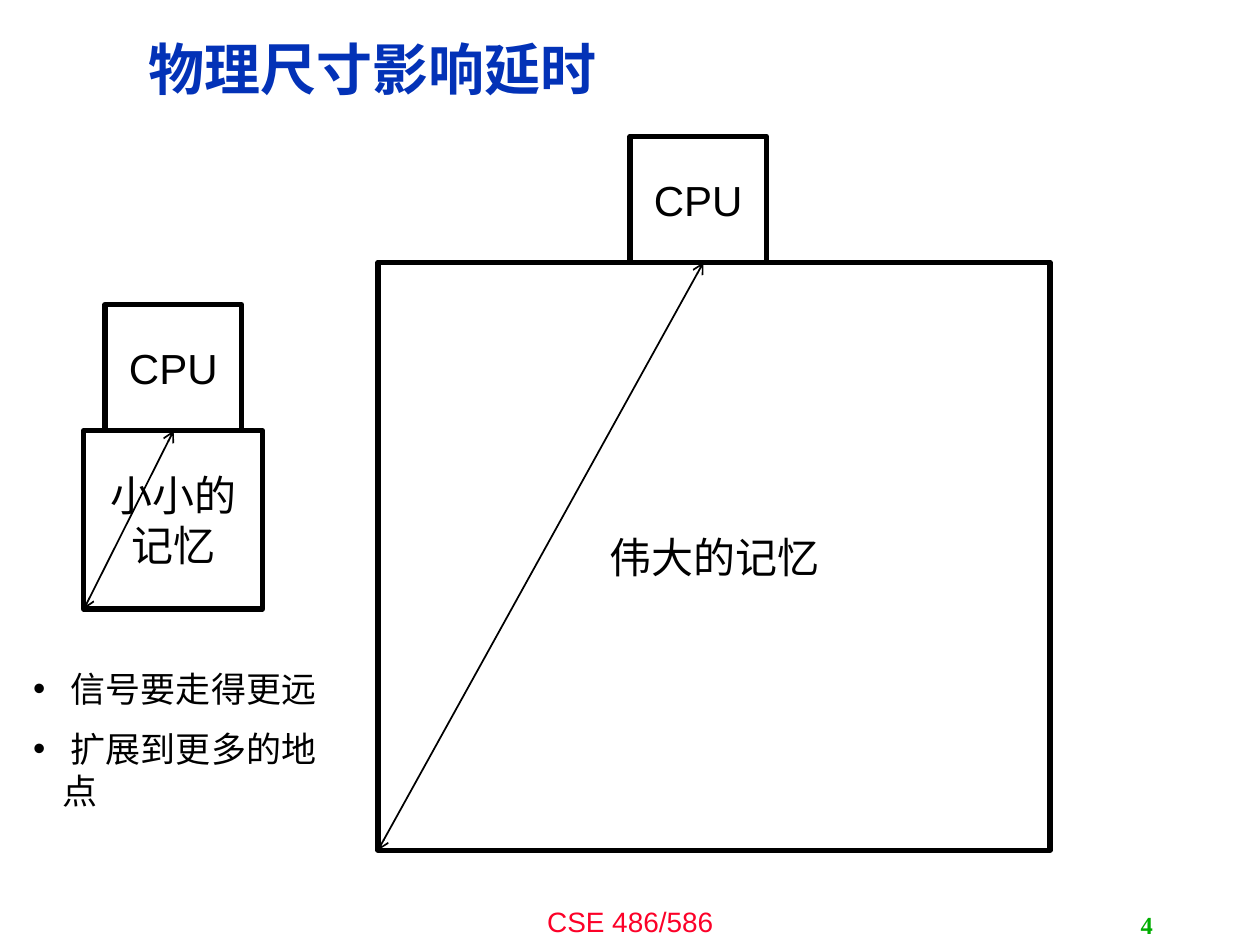
from dataclasses import dataclass

from lxml.etree import SubElement
from pptx import Presentation
from pptx.dml.color import RGBColor as Rgb
from pptx.enum.shapes import MSO_CONNECTOR as Connector, MSO_SHAPE as Shape
from pptx.enum.text import MSO_ANCHOR as Anchor, PP_ALIGN as Align
from pptx.oxml.ns import qn
from pptx.util import Cm, Pt


@dataclass(frozen=True)
class Theme:
    black: Rgb = Rgb(0x00, 0x00, 0x00)
    white: Rgb = Rgb(0xFF, 0xFF, 0xFF)
    title: Rgb = Rgb(0x03, 0x32, 0xB7)
    footer: Rgb = Rgb(0xFC, 0x01, 0x28)
    number: Rgb = Rgb(0x00, 0xAE, 0x00)
    sans: str = "Arial"
    serif: str = "Times New Roman"
    title_size: int = 32
    label_size: int = 24
    body_size: int = 20
    footer_size: int = 16
    number_size: int = 14
    outline: int = 3
    arrow: int = 1


THEME = Theme()
CPU_WIDTH, CPU_HEIGHT = 2.75, 2.54


def write_text(shape, lines, size, color=THEME.black, font=THEME.sans, bold=False,
               align=Align.LEFT, anchor=Anchor.TOP, gap=0, line_spacing=None, bullet=None):
    """Fill a shape with one paragraph per line."""
    frame = shape.text_frame
    frame.word_wrap = True
    frame.vertical_anchor = anchor
    for index, line in enumerate(lines):
        para = frame.paragraphs[0] if index == 0 else frame.add_paragraph()
        para.alignment = align
        para.space_before = Pt(gap if index else 0)
        if line_spacing:
            para.line_spacing = line_spacing
        if bullet:
            add_bullet(para, bullet)
        span = para.add_run()
        span.text = line
        span.font.name = font
        span.font.size = Pt(size)
        span.font.bold = bold
        span.font.color.rgb = color


def add_bullet(para, mark, indent=0.6):
    props = para._p.get_or_add_pPr()
    props.set("marL", str(Cm(indent)))
    props.set("indent", str(-Cm(indent)))
    SubElement(props, qn("a:buFont"), typeface=THEME.sans)
    SubElement(props, qn("a:buChar"), char=mark)


def add_text(page, place, lines, **style):
    box = page.shapes.add_textbox(*map(Cm, place))
    write_text(box, lines, **style)


def add_block(page, place, label):
    block = page.shapes.add_shape(Shape.RECTANGLE, *map(Cm, place))
    block.shadow.inherit = False
    block.fill.solid()
    block.fill.fore_color.rgb = THEME.white
    block.line.color.rgb = THEME.black
    block.line.width = Pt(THEME.outline)
    write_text(block, [label], size=THEME.label_size,
               align=Align.CENTER, anchor=Anchor.MIDDLE)


def add_double_arrow(page, start, end):
    arrow = page.shapes.add_connector(Connector.STRAIGHT, *map(Cm, start + end))
    arrow.line.color.rgb = THEME.black
    arrow.line.width = Pt(THEME.arrow)
    line = arrow.line._get_or_add_ln()
    for tip in ("a:headEnd", "a:tailEnd"):
        SubElement(line, qn(tip), type="arrow")
    SubElement(arrow._element.spPr, qn("a:effectLst"))


def add_machine(page, memory, label, cpu_left, signal_end):
    """Draw a memory with a CPU on top and the longest signal route."""
    left, top, _, height = memory
    add_block(page, memory, label)
    add_double_arrow(page, (left, top + height), (signal_end, top))
    add_block(page, (cpu_left, top - CPU_HEIGHT, CPU_WIDTH, CPU_HEIGHT), "CPU")


def main():
    deck = Presentation()
    deck.slide_width, deck.slide_height = Cm(25.4), Cm(19.05)
    page = deck.slides.add_slide(deck.slide_layouts[6])

    # Footer, title and page number
    add_text(page, (8.47, 18.1, 8.47, 0.95), ["CSE 486/586"],
             size=THEME.footer_size, color=THEME.footer, align=Align.CENTER)
    add_text(page, (2.75, 0.42, 20.27, 2.06), ["物理尺寸影响延时"],
             size=THEME.title_size, color=THEME.title, bold=True,
             anchor=Anchor.MIDDLE, line_spacing=0.9)
    add_text(page, (18.2, 18.25, 5.29, 0.8), ["4"],
             size=THEME.number_size, color=THEME.number, font=THEME.serif,
             bold=True, align=Align.RIGHT, anchor=Anchor.MIDDLE)

    # Small and large machine
    add_machine(page, (1.69, 8.68, 3.6, 3.6), "小小的记忆", 2.12, 3.5)
    add_machine(page, (7.62, 5.29, 13.55, 11.85), "伟大的记忆", 12.7, 14.18)

    # Consequences
    add_text(page, (0.42, 13.34, 6.56, 4.12), [" 信号要走得更远", " 扩展到更多的地点"],
             size=THEME.body_size, gap=10, bullet="•")

    deck.save("out.pptx")


main()
